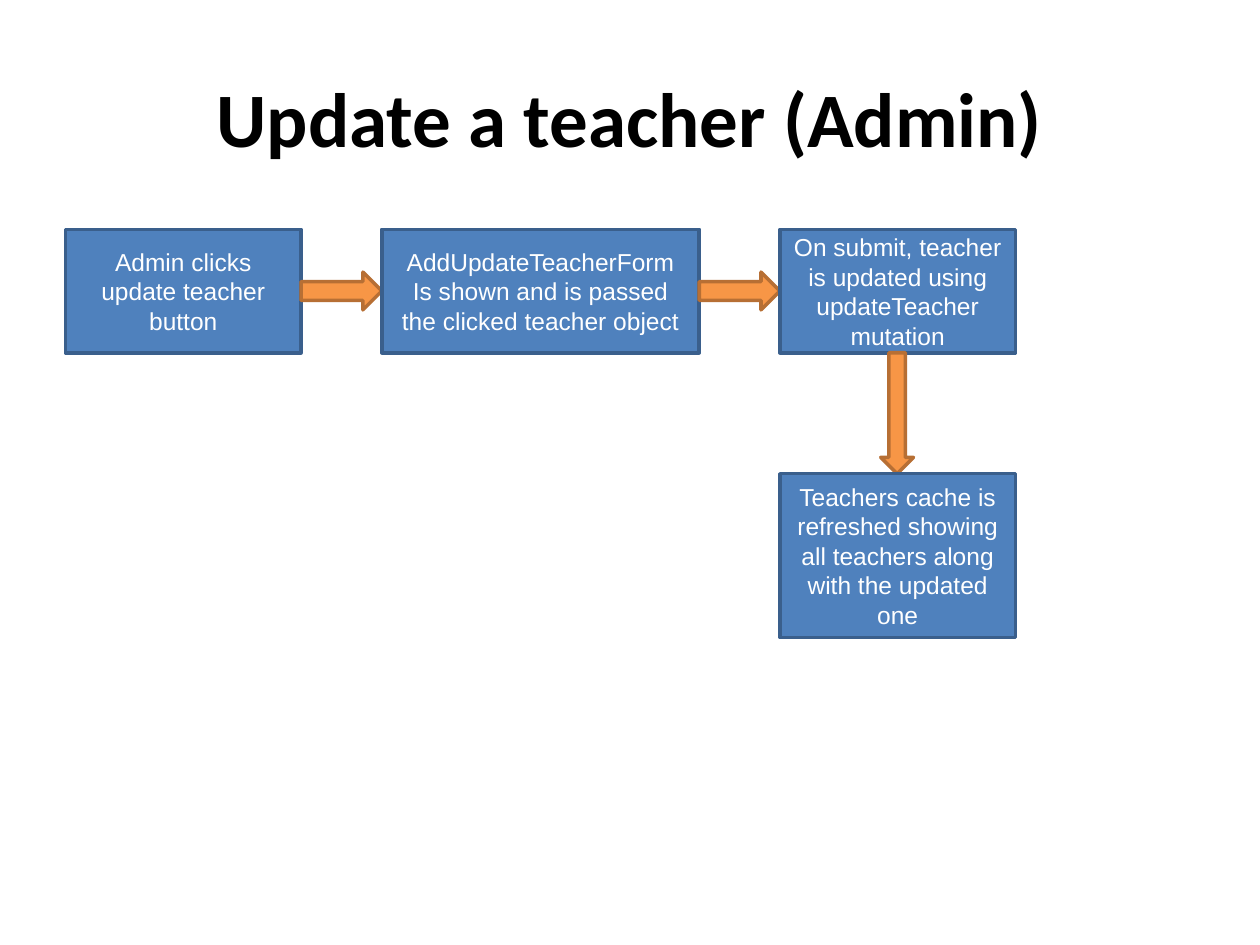
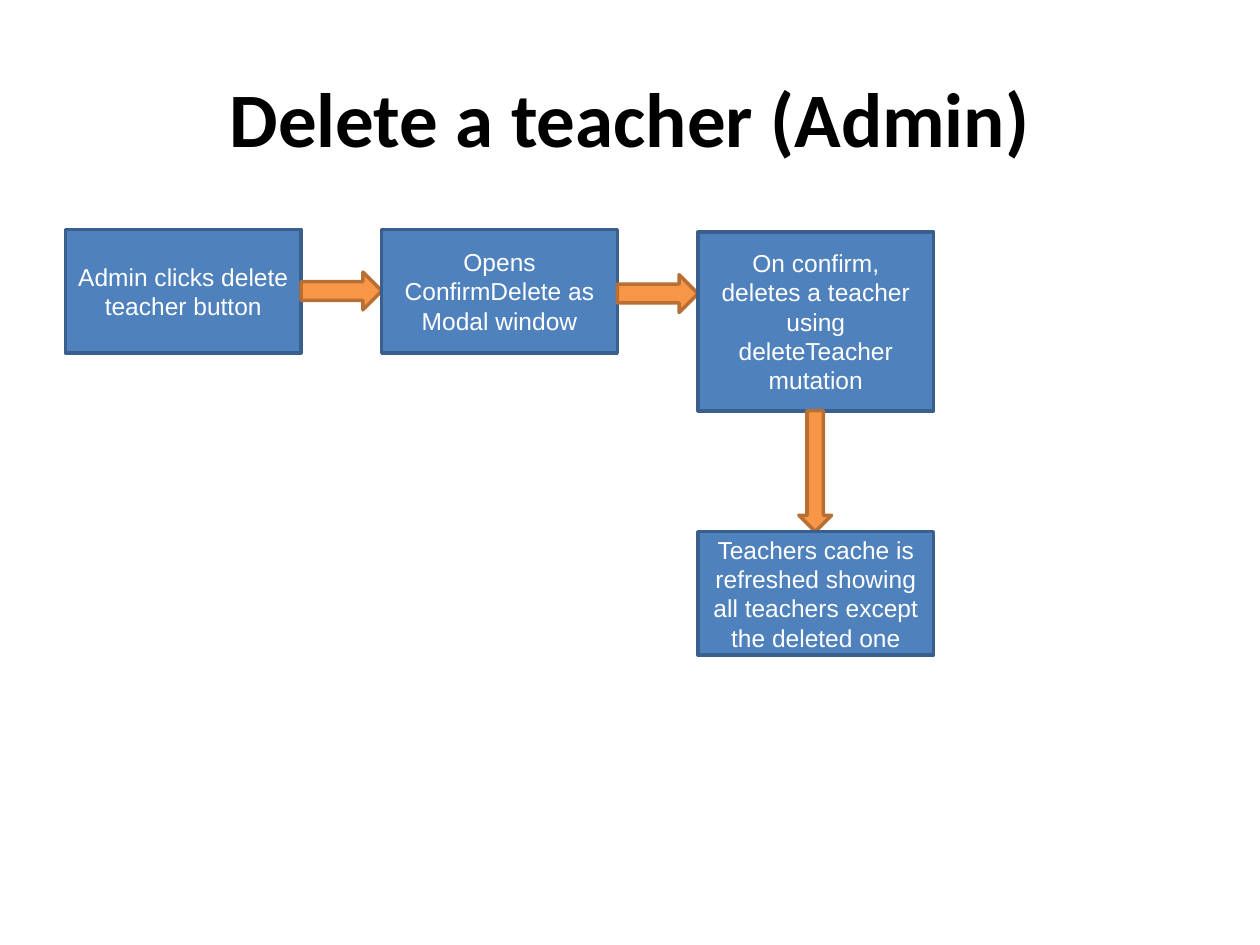
from pptx import Presentation
from pptx.dml.color import RGBColor
from pptx.enum.shapes import MSO_SHAPE
from pptx.enum.text import MSO_ANCHOR, PP_ALIGN
from pptx.util import Pt

PX = 9144  # 100 px to the inch

BOX_COLOURS = ("4F81BD", "3A5F8C")
ARROW_COLOURS = ("F79646", "B76F34")

ROW_LEFT = 52
ROW_GAP = 64
DROP_GAP = 96
BOX_WIDTH = 187
ARROW_THICKNESS = 30
ARROW_OFFSET = 34  # from the top of the box an arrow points at
DROP_THICKNESS = 26

# Each flow: title, the steps in the row (top, width, height, lines),
# and the last step below the row (height, lines).
FLOWS = [
    ("Update a teacher (Admin)",
     [(182, BOX_WIDTH, 98, ["Admin clicks update teacher button"]),
      (182, 252, 98, ["AddUpdateTeacherForm",
                      "Is shown and is passed the clicked teacher object"]),
      (182, BOX_WIDTH, 98, ["On submit, teacher is updated using updateTeacher",
                            "mutation"])],
     (130, ["Teachers cache is refreshed showing all teachers along "
            "with the updated one"])),
    ("Delete a teacher (Admin)",
     [(182, BOX_WIDTH, 98, ["Admin clicks delete teacher button"]),
      (182, BOX_WIDTH, 98, ["Opens ConfirmDelete as", "Modal window"]),
      (184, BOX_WIDTH, 142, ["On confirm, deletes a teacher using deleteTeacher",
                             "mutation"])],
     (98, ["Teachers cache is refreshed showing all teachers except "
           "the deleted one"])),
]


def colour(hex_string):
    return RGBColor.from_string(hex_string)


def add_flow_shape(slide, kind, left, top, width, height, colours, lines=()):
    """Add a filled, outlined shape with one paragraph for each line of text."""
    shape = slide.shapes.add_shape(
        kind, *(round(length * PX) for length in (left, top, width, height)))
    shape.shadow.inherit = False
    fill, outline = colours
    shape.fill.solid()
    shape.fill.fore_color.rgb = colour(fill)
    shape.line.color.rgb = colour(outline)
    shape.line.width = Pt(2)
    if lines:
        frame = shape.text_frame
        frame.text = "\n".join(lines)
        frame.word_wrap = True
        frame.vertical_anchor = MSO_ANCHOR.MIDDLE
        for paragraph in frame.paragraphs:
            paragraph.alignment = PP_ALIGN.CENTER
            paragraph.font.name = "Arial"
            paragraph.font.size = Pt(14)
            paragraph.font.color.rgb = colour("FFFFFF")


presentation = Presentation()
presentation.slide_width = 1000 * PX
presentation.slide_height = 750 * PX
title_only = presentation.slide_layouts[5]

for title_text, row, (last_height, last_lines) in FLOWS:
    slide = presentation.slides.add_slide(title_only)

    title = slide.shapes.title
    title.left, title.top = 50 * PX, 30 * PX
    title.width, title.height = 900 * PX, 125 * PX
    title.text_frame.text = title_text
    title.text_frame.vertical_anchor = MSO_ANCHOR.MIDDLE
    paragraph = title.text_frame.paragraphs[0]
    paragraph.alignment = PP_ALIGN.CENTER
    paragraph.font.name = "Calibri"
    paragraph.font.size = Pt(44)
    paragraph.font.bold = True
    paragraph.font.color.rgb = colour("000000")

    left = ROW_LEFT
    for index, (top, width, height, lines) in enumerate(row):
        if index:
            add_flow_shape(slide, MSO_SHAPE.RIGHT_ARROW, left, top + ARROW_OFFSET,
                           ROW_GAP, ARROW_THICKNESS, ARROW_COLOURS)
            left += ROW_GAP
        add_flow_shape(slide, MSO_SHAPE.RECTANGLE, left, top, width, height,
                       BOX_COLOURS, lines)
        left += width

    # The flow turns down below the last box of the row.
    left -= width
    bottom = top + height
    add_flow_shape(slide, MSO_SHAPE.DOWN_ARROW, left + (width - DROP_THICKNESS) // 2,
                   bottom, DROP_THICKNESS, DROP_GAP, ARROW_COLOURS)
    add_flow_shape(slide, MSO_SHAPE.RECTANGLE, left, bottom + DROP_GAP, width,
                   last_height, BOX_COLOURS, last_lines)

presentation.save("out.pptx")
